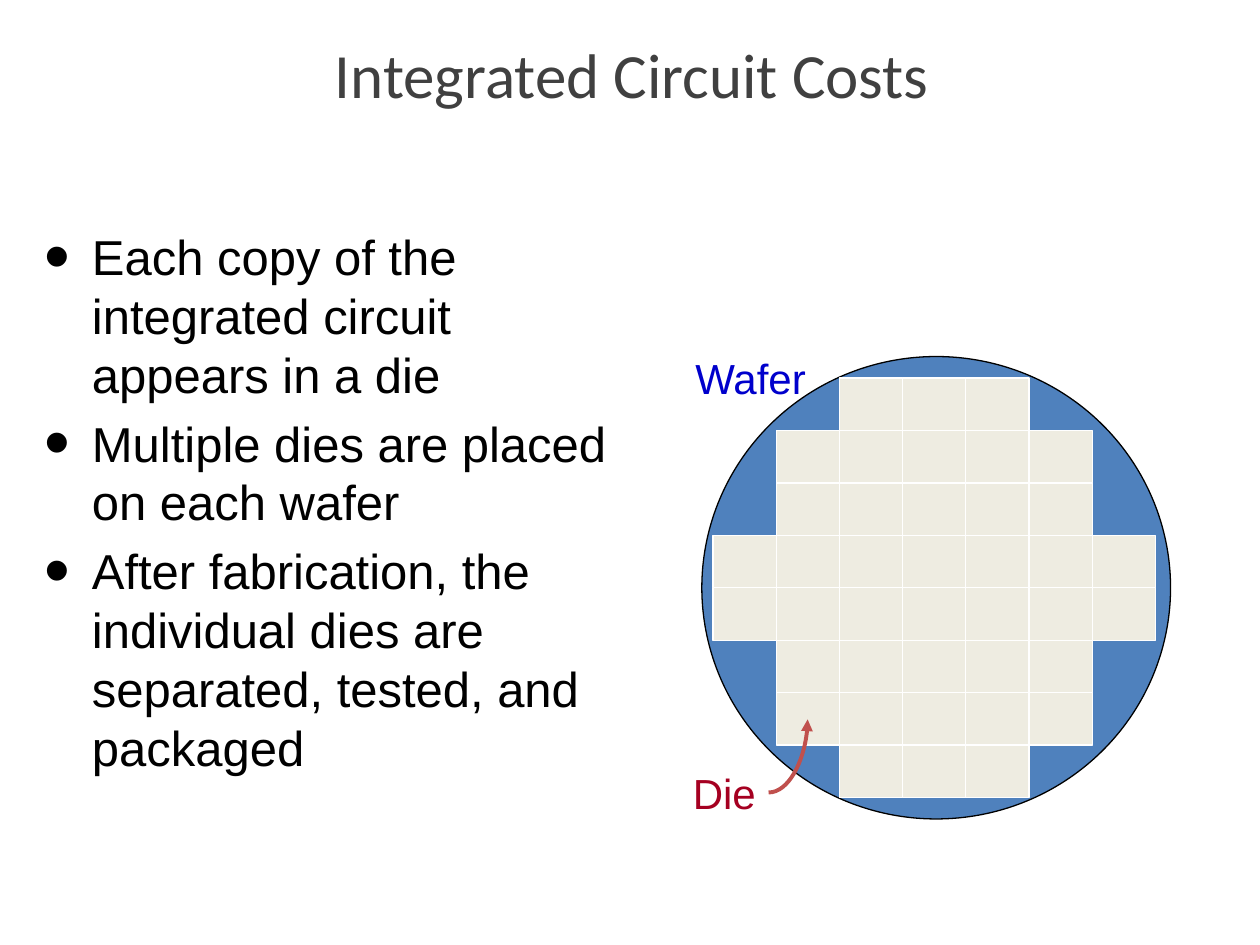
from lxml import etree
from pptx import Presentation
from pptx.dml.color import RGBColor
from pptx.enum.shapes import MSO_CONNECTOR, MSO_SHAPE
from pptx.enum.text import MSO_ANCHOR, MSO_AUTO_SIZE, PP_ALIGN
from pptx.oxml.ns import qn
from pptx.util import Inches, Pt

CURVE = MSO_CONNECTOR.CURVE
OVAL, RECT = MSO_SHAPE.OVAL, MSO_SHAPE.RECTANGLE
MIDDLE, TOP = MSO_ANCHOR.MIDDLE, MSO_ANCHOR.TOP
FIXED, CENTER = MSO_AUTO_SIZE.NONE, PP_ALIGN.CENTER

COLORS = {
    "title": "404040", "text": "000000", "wafer": "4F81BD", "edge": "000000",
    "die": "EEECE1", "gap": "FFFFFF", "wafer label": "0000CC",
    "die label": "A50021", "arrow": "C0504D",
}
TITLE = "Integrated Circuit Costs"
POINTS = [
    "Each copy of the integrated circuit appears in a die",
    "Multiple dies are placed on each wafer",
    "After fabrication, the individual dies are separated, tested, and packaged",
]
LABELS = [
    ("Wafer", (5.42, 2.75, 1.09, 0.5), "wafer label"),
    ("Die", (5.4, 6.04, 0.7, 0.5), "die label"),
]
WAFER = (5.57, 2.83, 3.72, 3.67)
GRID = (5.66, 3, 3.51, 3.33)
DIES = [2, 6, 8, 8, 8, 6, 2]  # dies in each column, centred top to bottom
ROWS = max(DIES)
ARROW = (6.1, 6.29, 6.41, 5.71)


def color(name):
    return RGBColor.from_string(COLORS[name])


def place(shape, box):
    shape.left, shape.top, shape.width, shape.height = map(Inches, box)


def style(para, face, size, name):
    para.font.name, para.font.size = face, Pt(size)
    para.font.color.rgb = color(name)


def add_bullet(para):
    props = para._p.get_or_add_pPr()
    props.set("marL", str(Inches(0.38)))
    props.set("indent", str(-Inches(0.38)))
    tint = etree.SubElement(props, qn("a:buClr"))
    etree.SubElement(tint, qn("a:srgbClr"), val=COLORS["text"])
    etree.SubElement(props, qn("a:buSzPct"), val="150000")
    etree.SubElement(props, qn("a:buFont"), typeface="Arial")
    etree.SubElement(props, qn("a:buChar"), char="•")


def add_shape(slide, kind, box, fill, line):
    shape = slide.shapes.add_shape(kind, *map(Inches, box))
    shape.shadow.inherit = False
    shape.fill.solid()
    shape.fill.fore_color.rgb = color(fill)
    shape.line.color.rgb = color(line)
    shape.line.width = Pt(0.75)


def add_text(slide):
    title, body = slide.placeholders
    place(title, (0.77, 0.25, 8.49, 0.66))
    title.text = TITLE
    title.text_frame.auto_size = FIXED
    title.text_frame.vertical_anchor = MIDDLE
    head = title.text_frame.paragraphs[0]
    head.alignment = CENTER
    style(head, "Calibri", 36, "title")

    place(body, (0.25, 1.75, 4.83, 4.99))
    body.text = "\n".join(POINTS)
    body.text_frame.auto_size = FIXED
    body.text_frame.vertical_anchor = TOP
    for para in body.text_frame.paragraphs:
        style(para, "Arial", 28, "text")
        add_bullet(para)


def add_wafer(slide):
    add_shape(slide, OVAL, WAFER, "wafer", "edge")
    left, top, width, height = GRID
    wide, high = width / len(DIES), height / ROWS
    for col, count in enumerate(DIES):
        first = (ROWS - count) // 2
        for row in range(first, first + count):
            box = (left + col * wide, top + row * high, wide, high)
            add_shape(slide, RECT, box, "die", "gap")


def add_labels(slide):
    for text, box, name in LABELS:
        label = slide.shapes.add_textbox(*map(Inches, box))
        label.text_frame.text = text
        label.text_frame.word_wrap = False
        style(label.text_frame.paragraphs[0], "Arial", 24, name)


def add_arrow(slide):
    arrow = slide.shapes.add_connector(CURVE, *map(Inches, ARROW))
    arrow.line.color.rgb = color("arrow")
    arrow.line.width = Pt(2.25)
    props = arrow._element.spPr
    props.find(qn("a:prstGeom")).set("prst", "curvedConnector2")
    etree.SubElement(props.find(qn("a:ln")), qn("a:tailEnd"), type="triangle")
    etree.SubElement(props, qn("a:effectLst"))


def main():
    deck = Presentation()
    deck.slide_width, deck.slide_height = Inches(10), Inches(7.5)
    slide = deck.slides.add_slide(deck.slide_layouts[1])
    add_text(slide)
    add_wafer(slide)
    add_labels(slide)
    add_arrow(slide)
    deck.save("out.pptx")


if __name__ == "__main__":
    main()
